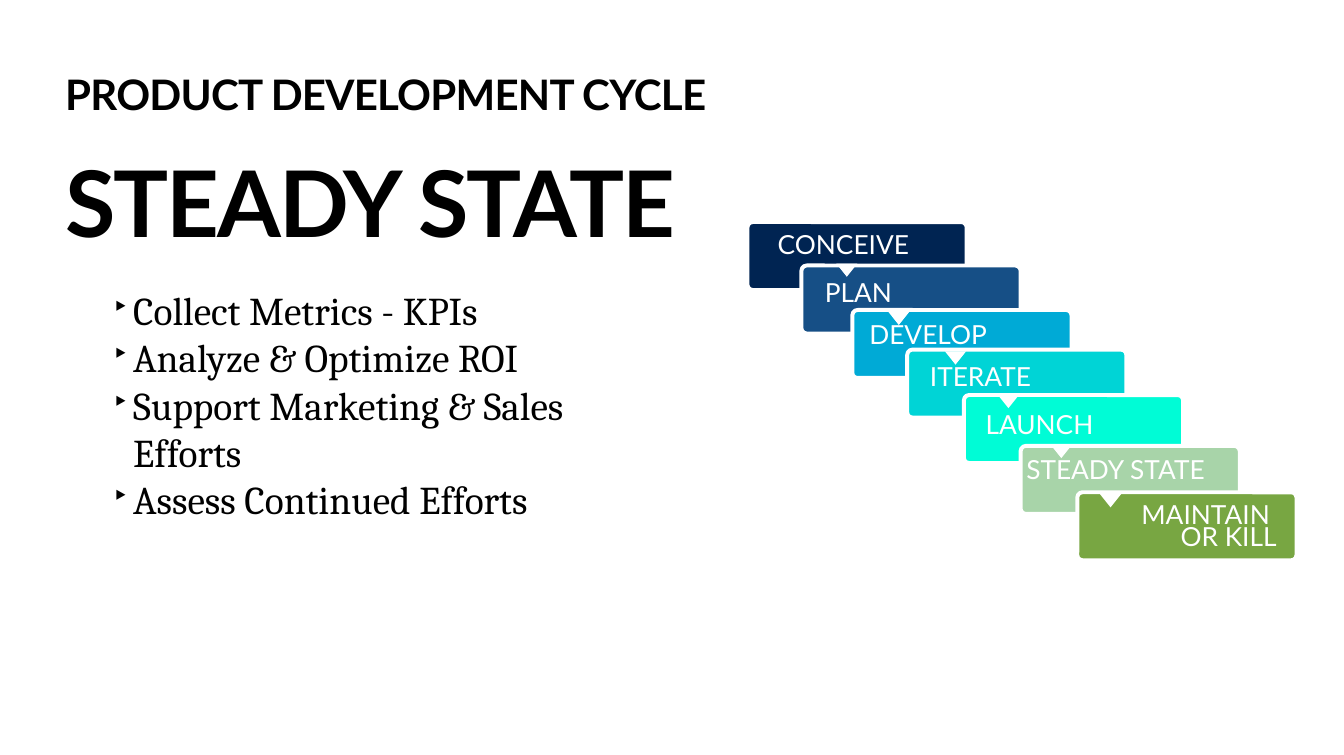
"""Build the Product Development Cycle slide with its cascade of stages."""
import lxml.etree
import pptx
import pptx.dml.color
import pptx.enum.shapes
import pptx.enum.text
import pptx.oxml.ns
import pptx.util

Pt = pptx.util.Pt
RGBColor = pptx.dml.color.RGBColor
Shape = pptx.enum.shapes.MSO_SHAPE
Align = pptx.enum.text.PP_ALIGN
Anchor = pptx.enum.text.MSO_ANCHOR

BLACK = RGBColor(0x00, 0x00, 0x00)
WHITE = RGBColor(0xFF, 0xFF, 0xFF)
NAVY = RGBColor(0x00, 0x24, 0x52)
BLUE = RGBColor(0x16, 0x4F, 0x86)
SKY = RGBColor(0x00, 0xAA, 0xD6)
TURQUOISE = RGBColor(0x00, 0xD4, 0xD6)
AQUA = RGBColor(0x00, 0xFC, 0xD6)
SAGE = RGBColor(0xA8, 0xD4, 0xA9)
GREEN = RGBColor(0x78, 0xA6, 0x42)

STAGES = [
    (NAVY, (569.5, 169.2), ["CONCEIVE"], (588.2, 174.2, 143.3, 23.8)),
    (BLUE, (610.6, 202.3), ["PLAN"], (624.2, 208.1, 146.2, 28.1)),
    (SKY, (649.4, 236.2), ["DEVELOP"], (658.1, 241.9, 153.4, 25.9)),
    (TURQUOISE, (691.2, 266.4), ["ITERATE"], (704.2, 273.6, 150.5, 25.9)),
    (AQUA, (734.4, 301), ["LAUNCH"], (746.6, 309.6, 148.3, 27.4)),
    (SAGE, (777.6, 339.8), ["STEADY STATE"], (777.6, 345.6, 159.8, 23.8)),
    (GREEN, (820.8, 375.1), ["MAINTAIN ", "OR KILL"], (820.8, 379.4, 156.2, 47.5)),
]
NOTCHES = [(637.2, 200.9), (676.8, 237.6), (720, 267.8),
           (760.3, 301), (800.6, 339.1), (838.1, 376.6)]
DUTIES = ["Collect Metrics - KPIs", "Analyze & Optimize ROI",
          "Support Marketing & Sales Efforts", "Assess Continued Efforts"]


def add_bullet(paragraph, character="‣", percent=70, indent=15.8):
    """Give a paragraph a hanging bullet."""
    properties = paragraph._p.get_or_add_pPr()
    properties.set("marL", str(Pt(indent)))
    properties.set("indent", str(-Pt(indent)))
    for tag, name, value in (("a:buSzPct", "val", str(percent * 1000)),
                             ("a:buChar", "char", character)):
        element = lxml.etree.SubElement(properties, pptx.oxml.ns.qn(tag))
        element.set(name, value)


def write_text(frame, lines, *, size, font="Lato", color=BLACK, bold=False,
               tracking=0, align=Align.LEFT, spacing=None, bullets=False):
    """Write lines as paragraphs that share one format."""
    for index, line in enumerate(lines):
        paragraph = frame.add_paragraph() if index else frame.paragraphs[0]
        paragraph.alignment = align
        if spacing:
            paragraph.line_spacing = spacing
        if bullets:
            add_bullet(paragraph)
        run = paragraph.add_run()
        run.text = line
        run.font.name = font
        run.font.size = Pt(size)
        run.font.bold = bold
        run.font.color.rgb = color
        if tracking:
            run.font._rPr.set("spc", str(round(tracking * 100)))


class CycleSlide:
    """Hold the slide and the style of its elements."""

    stage_size = (167, 51.8)
    notch_size = (16, 10)

    def __init__(self, presentation):
        """Add a blank slide with a group for the cascade."""
        self.slide = presentation.slides.add_slide(presentation.slide_layouts[6])
        self.cascade = self.slide.shapes.add_group_shape()

    def text(self, shapes, box, lines, *, inset=0, anchor=Anchor.TOP, **style):
        """Add a wrapped text box."""
        frame = shapes.add_textbox(*map(Pt, box)).text_frame
        frame.word_wrap = True
        frame.vertical_anchor = anchor
        frame.margin_left = frame.margin_right = Pt(inset)
        frame.margin_top = frame.margin_bottom = Pt(inset)
        write_text(frame, lines, **style)

    def stage(self, position, color):
        """Add the rounded box of a stage."""
        shape = self.cascade.shapes.add_shape(
            Shape.ROUNDED_RECTANGLE, *map(Pt, position + self.stage_size))
        shape.adjustments[0] = 0.077
        shape.shadow.inherit = False
        shape.fill.solid()
        shape.fill.fore_color.rgb = color
        shape.line.color.rgb = WHITE
        shape.line.width = Pt(3)

    def label(self, box, lines):
        """Add the name of a stage; two lines are set tight to the right."""
        stacked = len(lines) > 1
        self.text(self.cascade.shapes, box, lines, inset=4.3, anchor=Anchor.MIDDLE,
                  size=20, color=WHITE, align=Align.RIGHT if stacked else Align.LEFT,
                  spacing=0.7 if stacked else None)

    def notch(self, position):
        """Add a white triangle that points down."""
        shape = self.cascade.shapes.add_shape(
            Shape.ISOSCELES_TRIANGLE, *map(Pt, position + self.notch_size))
        shape.rotation = 180
        shape.shadow.inherit = False
        shape.fill.solid()
        shape.fill.fore_color.rgb = WHITE
        shape.line.fill.background()


def main():
    """Build and save the presentation."""
    presentation = pptx.Presentation()
    presentation.slide_width = Pt(1024)
    presentation.slide_height = Pt(575.3)
    cycle = CycleSlide(presentation)
    shapes = cycle.slide.shapes
    cycle.text(shapes, (49.7, 58.3, 607.7, 33.8), ["PRODUCT DEVELOPMENT CYCLE"],
               size=32, bold=True, tracking=-0.6, spacing=Pt(32))
    cycle.text(shapes, (49.7, 110.9, 607.7, 71.3), ["STEADY STATE"],
               size=70, bold=True, tracking=-1.4)
    cycle.text(shapes, (82.8, 215.3, 418.3, 164.2), DUTIES,
               inset=2.9, size=30, font="Cambria", bullets=True)
    for color, position, _, _ in STAGES:
        cycle.stage(position, color)
    for _, _, lines, box in STAGES:
        cycle.label(box, lines)
    for position in NOTCHES:
        cycle.notch(position)
    presentation.save("out.pptx")


if __name__ == "__main__":
    main()
